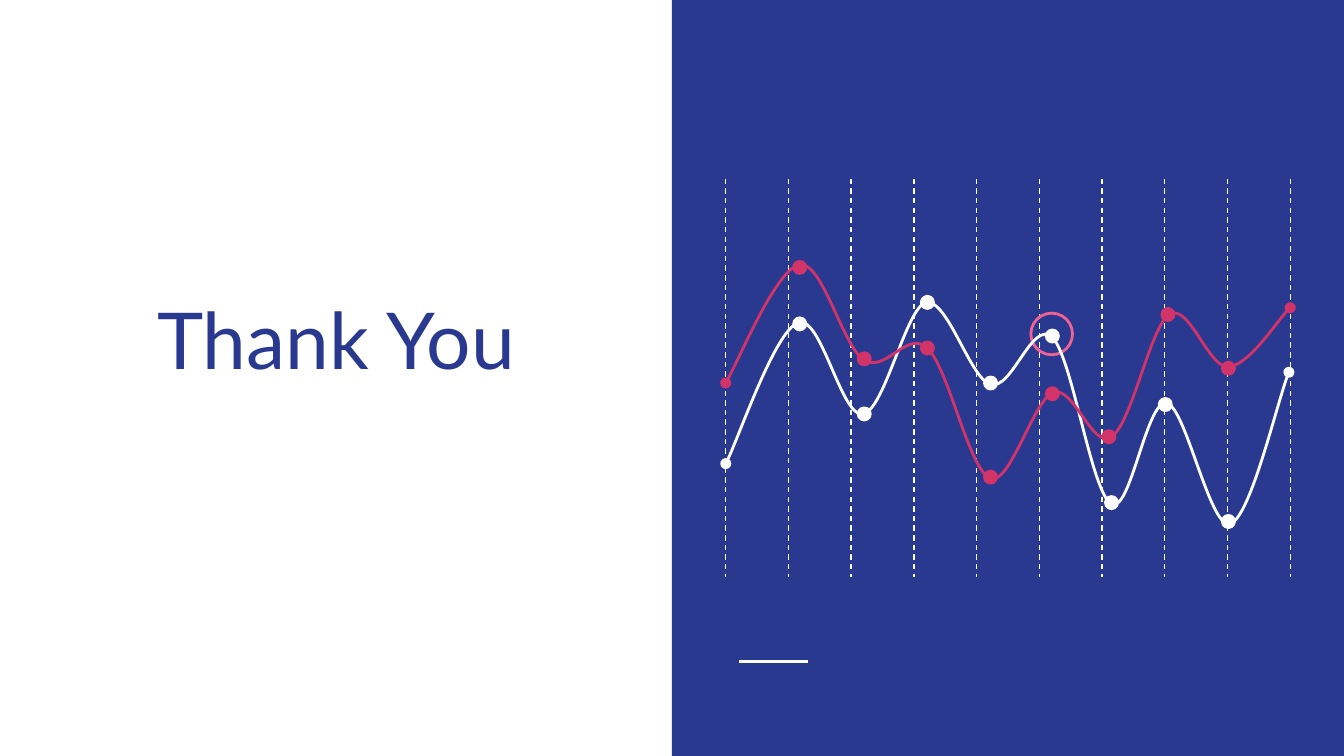
from lxml.etree import SubElement
from pptx import Presentation
from pptx.dml.color import RGBColor
from pptx.enum.dml import MSO_LINE
from pptx.enum.shapes import MSO_CONNECTOR, MSO_SHAPE
from pptx.enum.text import MSO_ANCHOR, MSO_AUTO_SIZE, PP_ALIGN
from pptx.oxml.ns import qn
from pptx.util import Inches, Pt

rgb = RGBColor.from_string
BLUE, WHITE, RED, PINK = "2A3990", "FFFFFF", "D23369", "F06292"


def style(sp, fill=None, line=None, width=1.5):
    """Set fill and line of a shape or connector, without a shadow."""
    if fill:
        sp.fill.solid()
        sp.fill.fore_color.rgb = rgb(fill)
    elif hasattr(sp, "fill"):
        sp.fill.background()
    if line:
        sp.line.color.rgb = rgb(line)
        sp.line.width = Pt(width)
    else:
        sp.line.fill.background()
    SubElement(sp._element.spPr, qn("a:effectLst"))


def write(tf, text, size=18, color=BLUE, font="Lato", align=PP_ALIGN.CENTER):
    p = tf.paragraphs[0]
    p.alignment = align
    r = p.add_run()
    r.text = text
    r.font.size = Pt(size)
    r.font.name = font
    r.font.color.rgb = rgb(color)


# 16:9 slide
prs = Presentation()
prs.slide_width, prs.slide_height = Inches(10), Inches(10 * 9 / 16)
s = prs.slides.add_slide(prs.slide_layouts[5])
shapes = s.shapes

# Title
title = shapes.title
title.left, title.top = Inches(0.29), Inches(1.26)
title.width, title.height = Inches(4.42), Inches(1.71)
tf = title.text_frame
tf.auto_size = MSO_AUTO_SIZE.NONE
tf.word_wrap = True
tf.vertical_anchor = MSO_ANCHOR.BOTTOM
tf.margin_left = tf.margin_right = tf.margin_top = tf.margin_bottom = Inches(0.1)
write(tf, "Thank You", size=42)

# Right panel with its short rule
panel = shapes.add_shape(MSO_SHAPE.RECTANGLE, Inches(5), 0, Inches(5), prs.slide_height)
style(panel, fill=BLUE)
rule = shapes.add_connector(MSO_CONNECTOR.STRAIGHT, Inches(5.5), Inches(4.92),
                            Inches(6.01), Inches(4.92))
style(rule, line=WHITE)

# Ten evenly spaced dashed grid lines
for i in range(10):
    x = Inches(5.4 + i * 4.2 / 9)
    grid = shapes.add_connector(MSO_CONNECTOR.STRAIGHT, x, Inches(1.33), x, Inches(4.29))
    style(grid, line=WHITE, width=0.75)
    grid.line.dash_style = MSO_LINE.DASH

# Ring around the highlighted point
ring = shapes.add_shape(MSO_SHAPE.OVAL, Inches(7.67), Inches(2.33), Inches(0.31), Inches(0.31))
style(ring, line=PINK)

# Each curve: colour, start, Bezier segments (two controls and an end), dot centres
curves = [
    (WHITE, (5.4, 3.45), [
        [(5.49, 3.28), (5.77, 2.46), (5.94, 2.4)],
        [(6.11, 2.34), (6.26, 3.11), (6.42, 3.08)],
        [(6.58, 3.06), (6.74, 2.29), (6.89, 2.25)],
        [(7.05, 2.22), (7.22, 2.82), (7.37, 2.86)],
        [(7.53, 2.91), (7.68, 2.37), (7.83, 2.51)],
        [(7.98, 2.66), (8.12, 3.67), (8.27, 3.75)],
        [(8.41, 3.83), (8.53, 2.97), (8.68, 3)],
        [(8.82, 3.02), (9, 3.93), (9.15, 3.9)],
        [(9.3, 3.86), (9.51, 2.96), (9.59, 2.77)],
    ], [(5.95, 2.41), (6.43, 3.08), (6.9, 2.25), (7.37, 2.85),
        (7.83, 2.5), (8.27, 3.74), (8.67, 3.01), (9.14, 3.88)]),
    (RED, (5.4, 2.85), [
        [(5.49, 2.7), (5.78, 2), (5.95, 1.97)],
        [(6.12, 1.94), (6.27, 2.58), (6.43, 2.68)],
        [(6.59, 2.78), (6.75, 2.45), (6.9, 2.59)],
        [(7.06, 2.74), (7.21, 3.5), (7.37, 3.56)],
        [(7.52, 3.61), (7.69, 2.97), (7.84, 2.92)],
        [(7.99, 2.87), (8.13, 3.35), (8.27, 3.25)],
        [(8.42, 3.16), (8.56, 2.43), (8.7, 2.34)],
        [(8.85, 2.25), (8.99, 2.74), (9.14, 2.73)],
        [(9.29, 2.72), (9.52, 2.36), (9.6, 2.29)],
    ], [(5.95, 1.99), (6.43, 2.67), (6.9, 2.59), (7.37, 3.55),
        (7.83, 2.93), (8.25, 3.25), (8.69, 2.34), (9.14, 2.74)]),
]
DOT = 0.09
for color, (x0, y0), segments, dots in curves:
    fb = shapes.build_freeform(Inches(x0), Inches(y0))
    fb.add_line_segments([(Inches(x), Inches(y)) for seg in segments for x, y in seg],
                         close=False)
    sp = fb.convert_to_shape()
    style(sp, line=color)

    # Turn every three straight segments into one cubic Bezier
    outline = sp._element.find(".//" + qn("a:path"))
    steps = outline.findall(qn("a:lnTo"))
    for i in range(0, len(steps), 3):
        bezier = SubElement(outline, qn("a:cubicBezTo"))
        for step in steps[i:i + 3]:
            bezier.append(step[0])
            outline.remove(step)

    # Oval line ends
    for end in ("a:headEnd", "a:tailEnd"):
        SubElement(sp.line._get_or_add_ln(), qn(end), type="oval")

    # Data points
    for x, y in dots:
        dot = shapes.add_shape(MSO_SHAPE.OVAL, Inches(x - DOT / 2), Inches(y - DOT / 2),
                               Inches(DOT), Inches(DOT))
        style(dot, fill=color, line=color)

prs.save("out.pptx")
